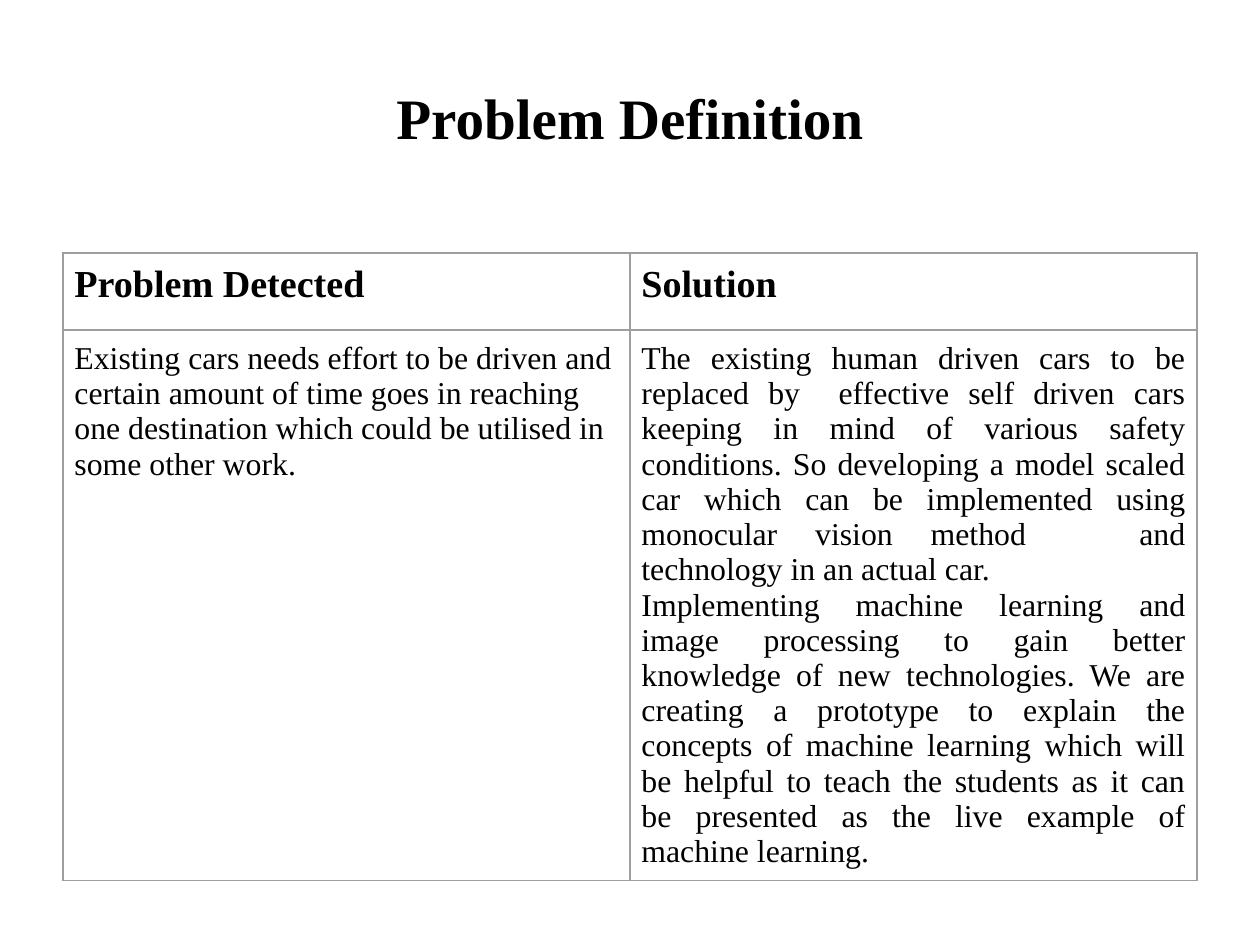
from pptx import Presentation
from pptx.dml.color import RGBColor
from pptx.enum.text import MSO_ANCHOR as Anchor, PP_ALIGN as Align
from pptx.oxml import parse_xml
from pptx.oxml.ns import nsdecls
from pptx.util import Pt

EMU_PER_PX = 8000
TITLE_ONLY = 5

HEADINGS = ["Problem Detected", "Solution"]
PROBLEM = (
    "Existing cars needs effort to be driven and certain amount of time goes "
    "in reaching one destination which could be utilised in some other work."
)
SOLUTION = (
    "The existing human driven cars to be replaced by  effective self driven "
    "cars keeping in mind of various safety conditions. So developing a model "
    "scaled car which can be implemented using monocular vision method   and "
    "technology in an actual car.\n"
    "Implementing machine learning and image processing to gain better "
    "knowledge of new technologies. We are creating a prototype to explain "
    "the concepts of machine learning which will be helpful to teach the "
    "students as it can be presented as the live example of machine learning."
)


def px(length):
    return length * EMU_PER_PX


def color(hex_value):
    return RGBColor.from_string(hex_value)


class SlideBuilder:
    font = "Times New Roman"
    ink = "000000"
    rule = "9E9E9E"
    paper = "FFFFFF"
    cell_padding = 11

    def __init__(self, deck):
        self.slide = deck.slides.add_slide(deck.slide_layouts[TITLE_ONLY])
        background = self.slide.background.fill
        background.solid()
        background.fore_color.rgb = color(self.paper)

    def set_text(self, frame, text, size, bold, align):
        frame.text = text
        for paragraph in frame.paragraphs:
            paragraph.alignment = align
            for run in paragraph.runs:
                run.font.name = self.font
                run.font.size = Pt(size)
                run.font.bold = bold
                run.font.color.rgb = color(self.ink)

    def title(self, text, left, top, width, height):
        heading = self.slide.shapes.title
        heading.left, heading.top = px(left), px(top)
        heading.width, heading.height = px(width), px(height)
        frame = heading.text_frame
        frame.margin_left = frame.margin_right = 0
        frame.margin_top = frame.margin_bottom = 0
        frame.vertical_anchor = Anchor.MIDDLE
        self.set_text(frame, text, 36, True, Align.CENTER)

    def table(self, left, top, column_widths, row_heights):
        grid = self.slide.shapes.add_table(
            len(row_heights), len(column_widths), px(left), px(top),
            px(sum(column_widths)), px(sum(row_heights)),
        ).table
        grid.first_row = grid.horz_banding = False
        for column, width in zip(grid.columns, column_widths):
            column.width = px(width)
        for row, height in zip(grid.rows, row_heights):
            row.height = px(height)
        return grid

    def cell(self, cell, text, size, bold=False, align=Align.LEFT):
        cell.margin_top = cell.margin_bottom = px(self.cell_padding)
        cell.fill.background()
        self.set_text(cell.text_frame, text, size, bold, align)
        # Borders come before the fill in the cell properties
        properties = cell._tc.get_or_add_tcPr()
        for position, side in enumerate(("lnL", "lnR", "lnT", "lnB")):
            properties.insert(position, parse_xml(
                f'<a:{side} {nsdecls("a")} w="{Pt(0.75)}"><a:solidFill>'
                f'<a:srgbClr val="{self.rule}"/></a:solidFill></a:{side}>'
            ))


def main():
    deck = Presentation()
    deck.slide_width, deck.slide_height = px(1260), px(945)
    builder = SlideBuilder(deck)

    # Title
    builder.title("Problem Definition", 63, 38, 1134, 158)

    # Problem and solution table
    comparison = builder.table(63, 253, [567, 567], [77, 338])
    for column, heading in enumerate(HEADINGS):
        builder.cell(comparison.cell(0, column), heading, 24, bold=True)
    builder.cell(comparison.cell(1, 0), PROBLEM, 20)
    builder.cell(comparison.cell(1, 1), SOLUTION, 20, align=Align.JUSTIFY)

    deck.save("out.pptx")


if __name__ == "__main__":
    main()
